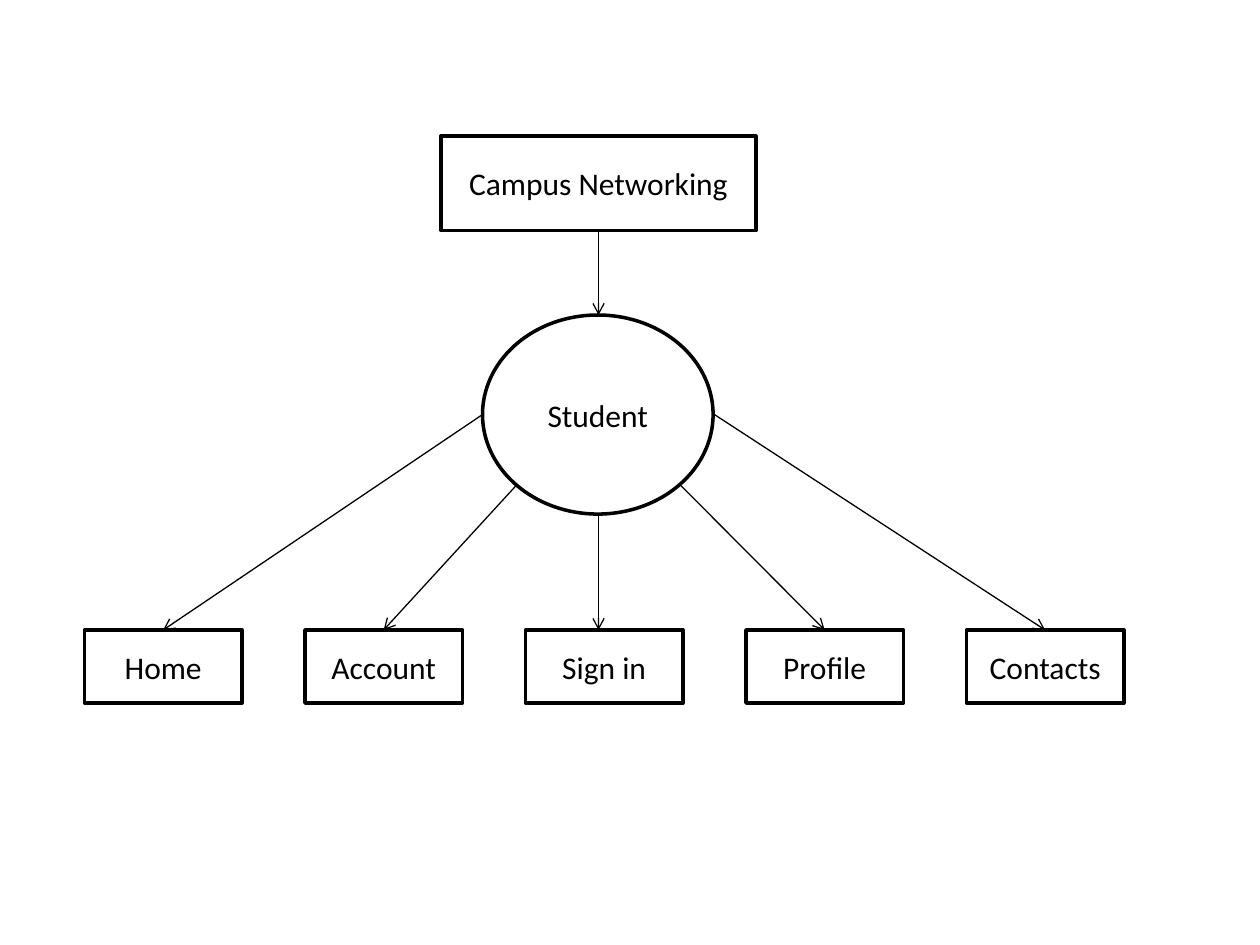
from pptx import Presentation
from pptx.dml.color import RGBColor
from pptx.enum.shapes import MSO_CONNECTOR, MSO_SHAPE
from pptx.enum.text import MSO_ANCHOR, PP_ALIGN
from pptx.oxml.ns import qn
from pptx.util import Inches, Pt
from lxml import etree

RECT = MSO_SHAPE.RECTANGLE
OVAL = MSO_SHAPE.OVAL
LINE = MSO_CONNECTOR.STRAIGHT
MIDDLE = MSO_ANCHOR.MIDDLE
CENTER = PP_ALIGN.CENTER

color = RGBColor.from_string

deck = Presentation()
deck.slide_width = Inches(10)
deck.slide_height = Inches(7.5)
slide = deck.slides.add_slide(deck.slide_layouts[6])

left, step, width, top = 0.67, 1.75, 1.25, 5
pages = ["Home", "Account", "Sign in", "Profile", "Contacts"]
nodes = [
    ("Campus Networking", RECT, 3.5, 1.08, 2.5, 0.75),
    ("Student", OVAL, 3.83, 2.5, 1.83, 1.58),
]
starts = [(3.83, 3.29), (4.1, 3.85), (4.75, 4.08), (5.4, 3.85), (5.67, 3.29)]
links = [(4.75, 1.83, 4.75, 2.5)]
for i, (page, (x, y)) in enumerate(zip(pages, starts)):
    edge = left + i * step
    nodes.append((page, RECT, edge, top, width, 0.58))
    end = 4.75 if page == "Sign in" else edge + width / 2
    links.append((x, y, end, top))

for text, kind, *box in nodes:
    node = slide.shapes.add_shape(kind, *map(Inches, box))
    node.shadow.inherit = False
    node.fill.solid()
    node.fill.fore_color.rgb = color("FFFFFF")
    node.line.color.rgb = color("000000")
    node.line.width = Pt(2)
    frame = node.text_frame
    frame.word_wrap = True
    frame.vertical_anchor = MIDDLE
    label = frame.paragraphs[0]
    label.text = text
    label.alignment = CENTER
    label.font.name = "Calibri"
    label.font.size = Pt(18)
    label.font.color.rgb = color("000000")

for ends in links:
    link = slide.shapes.add_connector(LINE, *map(Inches, ends))
    link.line.color.rgb = color("000000")
    link.line.width = Pt(0.75)
    etree.SubElement(link.line._get_or_add_ln(), qn("a:tailEnd"), type="arrow")
    etree.SubElement(link._element.spPr, qn("a:effectLst"))

deck.save("out.pptx")
